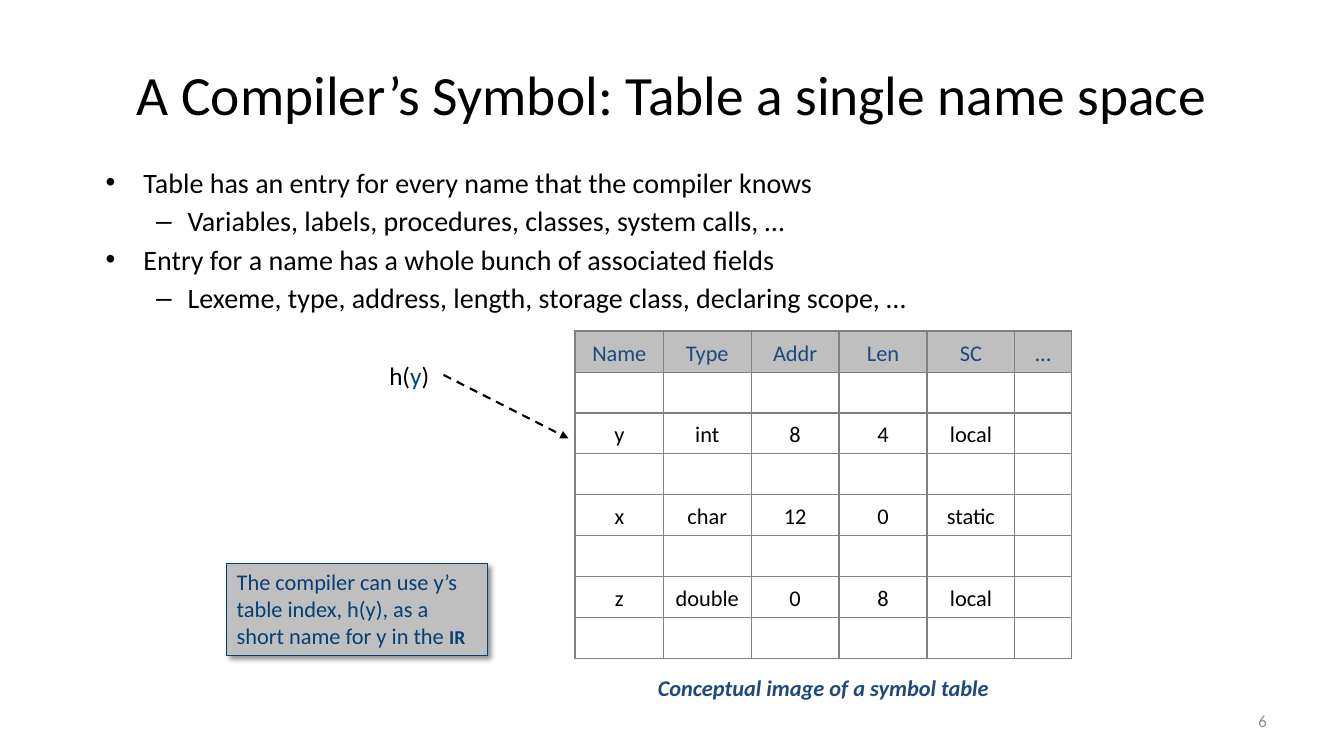
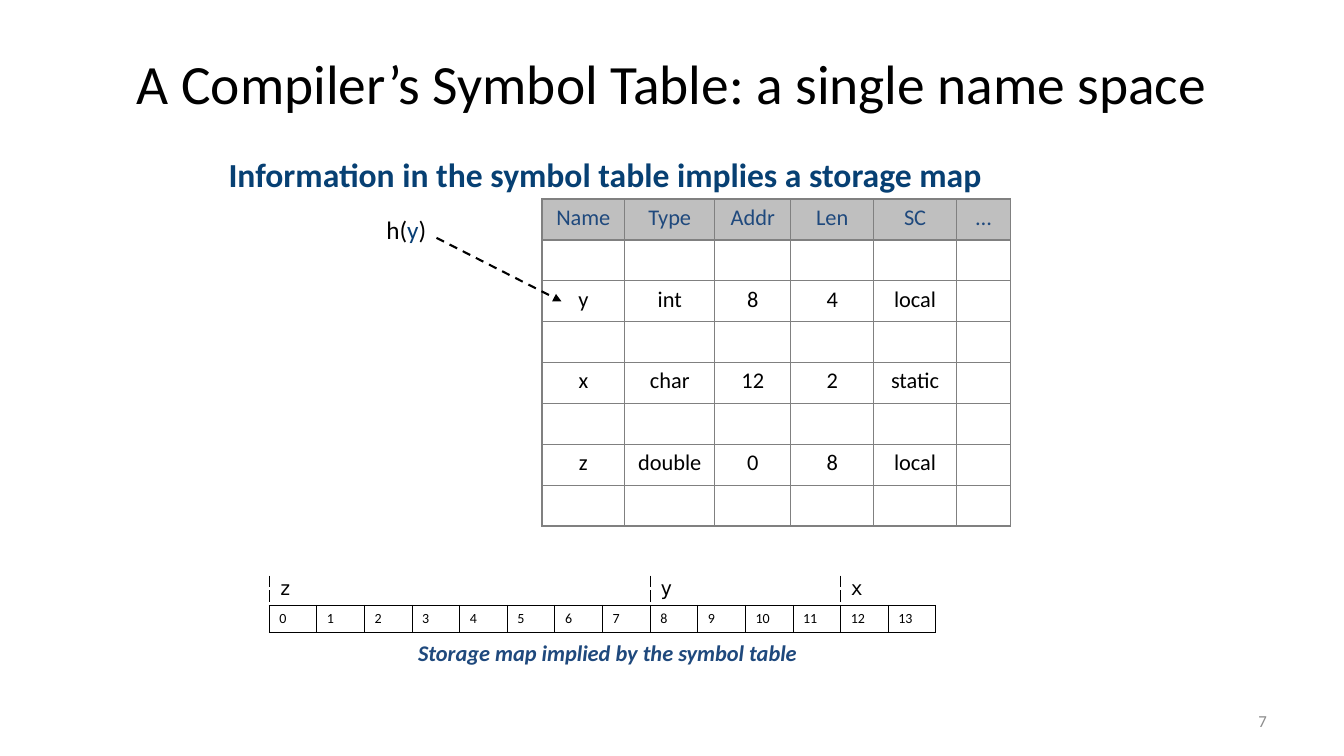
from lxml import etree
from pptx import Presentation
from pptx import util as u
from pptx.dml import color
from pptx.enum import dml, shapes, text
from pptx.oxml import ns

Pt = u.Pt
HEX = {"ink": "000000", "blue": "1F497D", "navy": "073E74", "deep": "074073",
       "gray": "BFBFBF", "rule": "808080", "num": "8C8C8C", "white": "FFFFFF"}
FONT, MONO = "Calibri", "DejaVu Sans Mono"
MID, TOP, LOW = (text.MSO_ANCHOR.MIDDLE, text.MSO_ANCHOR.TOP,
                 text.MSO_ANCHOR.BOTTOM)
LEFT, CENTER, RIGHT = (text.PP_ALIGN.LEFT, text.PP_ALIGN.CENTER,
                       text.PP_ALIGN.RIGHT)
PLAIN = "{2D5ABB26-0587-4C30-8999-92F81FD0307C}"  # table style without lines
HEAD = ["Name", "Type", "Addr", "Len", "SC", "…"]
ROW = 29.2


def rgb(key):
    return color.RGBColor.from_string(HEX[key])


def node(up, tag, **attrs):
    return etree.SubElement(up, ns.qn("a:" + tag), attrs)


# Text
def add_run(par, words, size, tone="ink", bold=False, slant=False, face=FONT):
    run = par.add_run()
    run.text = words
    font = run.font
    font.name, font.size, font.bold, font.italic = face, Pt(size), bold, slant
    font.color.rgb = rgb(tone)


def add_box(slide, box, anchor=TOP, align=LEFT):
    frame = slide.shapes.add_textbox(*map(Pt, box)).text_frame
    frame.word_wrap = True
    frame.vertical_anchor = anchor
    frame.paragraphs[0].alignment = align
    return frame


def add_bullet(par, mark, left, hang):
    props = par._p.get_or_add_pPr()
    props.set("marL", str(Pt(left)))
    props.set("indent", str(-Pt(hang)))
    node(props, "buFont", typeface="Arial")
    node(props, "buChar", char=mark)


# Parts that both slides share
def add_base(deck, title, high, num):
    slide = deck.slides.add_slide(deck.slide_layouts[6])
    par = add_box(slide, (48, 21.6, 864, high), MID, CENTER).paragraphs[0]
    add_run(par, title, 39.6)
    par = add_box(slide, (688, 500.4, 224, 28.8), MID, RIGHT).paragraphs[0]
    add_run(par, str(num), 12, "num")
    return slide


def add_hash(slide, left, top, start):
    """Label h(y) and the dashed arrow to its row."""
    par = add_box(slide, (left, top, 49, 30), MID, CENTER).paragraphs[0]
    for words, tone in (("h(", "ink"), ("y", "navy"), (")", "ink")):
        add_run(par, words, 18, tone)
    x, y = start
    line = slide.shapes.add_connector(shapes.MSO_CONNECTOR.STRAIGHT,
                                      Pt(x), Pt(y), Pt(x + 89.3), Pt(y + 45.4))
    line.line.color.rgb = rgb("ink")
    line.line.width = Pt(1.5)
    line.line.dash_style = dml.MSO_LINE.DASH
    node(line.line._get_or_add_ln(), "tailEnd", type="triangle")
    node(line._element.spPr, "effectLst")


# Tables
def add_grid(slide, left, top, cols, rows):
    table = slide.shapes.add_table(len(rows), len(cols), Pt(left), Pt(top),
                                   Pt(sum(cols)), Pt(sum(rows))).table
    table.first_row = table.horz_banding = False
    table._tbl.tblPr.find(ns.qn("a:tableStyleId")).text = PLAIN
    for col, width in zip(table.columns, cols):
        col.width = Pt(width)
    for row, height in zip(table.rows, rows):
        row.height = Pt(height)
    return table


def set_cell(cell, edges, tone, fill=None, dash="solid"):
    """Edges maps L, R, T, B to widths; sides left out get no line."""
    props = cell._tc.get_or_add_tcPr()
    for side in "LRTB":
        wide = edges.get(side)
        line = node(props, "ln" + side, w=str(Pt(wide or 1)))
        if wide:
            node(node(line, "solidFill"), "srgbClr", val=HEX[tone])
            node(line, "prstDash", val=dash if side in "LR" else "solid")
        else:
            node(line, "noFill")
    if fill:
        cell.fill.solid()
        cell.fill.fore_color.rgb = rgb(fill)
    else:
        cell.fill.background()


def add_names(slide, left, top, cols, size, anchor, note=None):
    """Symbol table; size is the length of x, note an optional last row."""
    body = {0: HEAD, 2: ["y", "int", "8", "4", "local"],
            4: ["x", "char", "12", size, "static"],
            6: ["z", "double", "0", "8", "local"]}
    table = add_grid(slide, left, top, cols,
                     [ROW] * 8 + ([35] if note else []))
    for r in range(8):
        for c in range(6):
            cell = table.cell(r, c)
            set_cell(cell, {"L": 1 if c else 1.5, "R": 1.5 if c == 5 else 1,
                            "T": 1 if r else 1.5,
                            "B": 1.5 if r == 7 and not note else 1},
                     "rule", None if r else "gray")
            words = body.get(r, [])[c:c + 1]
            if words:
                cell.vertical_anchor = anchor
                par = cell.text_frame.paragraphs[0]
                par.alignment = CENTER
                add_run(par, words[0], 16, "ink" if r else "blue")
    if note:
        cell = table.cell(8, 0)
        cell.merge(table.cell(8, 5))
        set_cell(cell, {"T": 1}, "rule")
        cell.vertical_anchor = LOW
        par = cell.text_frame.paragraphs[0]
        par.alignment = CENTER
        add_run(par, note, 16, "blue", True, True)


def add_map(slide, left, top):
    """Storage map: names above numbered bytes, caption below."""
    count = 14
    table = add_grid(slide, left, top, [34.04] * count, [21.2, 19, ROW])

    def fill(r, c, words, edges, *style, **more):
        cell = table.cell(r, c)
        set_cell(cell, edges, "ink", "white", "solid" if r else "sysDash")
        if r:
            cell.margin_top, cell.margin_right = Pt(1.4), 0
        par = cell.text_frame.paragraphs[0]
        par.line_spacing = Pt(14)
        add_run(par, words, *style, **more)
        return cell, par

    for name, first, span in (("z", 0, 8), ("y", 8, 4), ("x", 12, 2)):
        table.cell(0, first).merge(table.cell(0, first + span - 1))
        edges = {"L": 1, "B": 0.75}
        fill(0, first, name, edges, 14, face=MONO)
    for c in range(count):
        fill(1, c, str(c), dict.fromkeys("LRTB", 0.75), 10)
    table.cell(2, 0).merge(table.cell(2, count - 1))
    cell, par = fill(2, 0, "Storage map implied by the symbol table",
                     {"T": 0.75}, 16, "blue", True, True)
    cell.vertical_anchor = LOW
    par.alignment = CENTER


# Regions of the first slide
def add_points(slide, box):
    frame = add_box(slide, box)
    points = (
        (0, "Table has an entry for every name that the compiler knows"),
        (1, "Variables, labels, procedures, classes, system calls, …"),
        (0, "Entry for a name has a whole bunch of associated fields"),
        (1, "Lexeme, type, address, length, storage class, declaring scope, …"))
    for i, (level, words) in enumerate(points):
        par = frame.add_paragraph() if i else frame.paragraphs[0]
        par.level = level
        par.space_before = Pt(3.5)
        add_bullet(par, *(("–", 58.5, 22.5) if level else ("•", 27, 27)))
        add_run(par, words, 20)


def add_note(slide, box):
    note = slide.shapes.add_shape(shapes.MSO_SHAPE.RECTANGLE, *map(Pt, box))
    note.fill.solid()
    note.fill.fore_color.rgb = rgb("gray")
    note.line.color.rgb = rgb("deep")
    note.line.width = Pt(0.75)
    note.shadow.inherit = False
    glow = node(note._element.spPr.find(ns.qn("a:effectLst")), "outerShdw",
                blurRad=str(Pt(4)), dist=str(Pt(3)), dir="2700000",
                algn="tl", rotWithShape="0")
    node(node(glow, "srgbClr", val=HEX["ink"]), "alpha", val="43000")
    frame = note.text_frame
    frame.word_wrap = True
    frame.vertical_anchor = TOP
    par = frame.paragraphs[0]
    par.alignment = LEFT
    add_run(par, "The compiler can use y’s table index, h(y), as a short name "
            "for y in the ", 16, "navy")
    add_run(par, "IR", 14, "navy", True)


# Slides
def add_table_slide(deck):
    slide = add_base(deck, "A Compiler’s Symbol: Table a single name space",
                     90, 6)
    add_points(slide, (68.4, 114.5, 735, 356))
    add_hash(slide, 267.8, 253.4, (316.8, 267.8))
    add_note(slide, (162, 402.5, 186, 65.5))
    add_names(slide, 411, 236.6, [62.8] * 5 + [40.4], "0", LOW,
              "Conceptual image of a symbol table")


def add_map_slide(deck):
    slide = add_base(deck, "A Compiler’s Symbol Table: a single name space",
                     75, 7)
    par = add_box(slide, (156.2, 106.6, 648, 356)).paragraphs[0]
    par.space_before = Pt(4.8)
    add_run(par, "Information in the symbol table implies a storage map",
            24, "deep", True)
    add_names(slide, 387.2, 142.2, [59, 64.4, 54.3, 59.2, 59.2, 38.5],
              "2", TOP)
    add_hash(slide, 265.7, 149, (311.8, 169.9))
    add_map(slide, 192.3, 411.2)


def main():
    deck = Presentation()
    deck.slide_width, deck.slide_height = Pt(960), Pt(540)
    add_table_slide(deck)
    add_map_slide(deck)
    deck.save("out.pptx")


if __name__ == "__main__":
    main()
